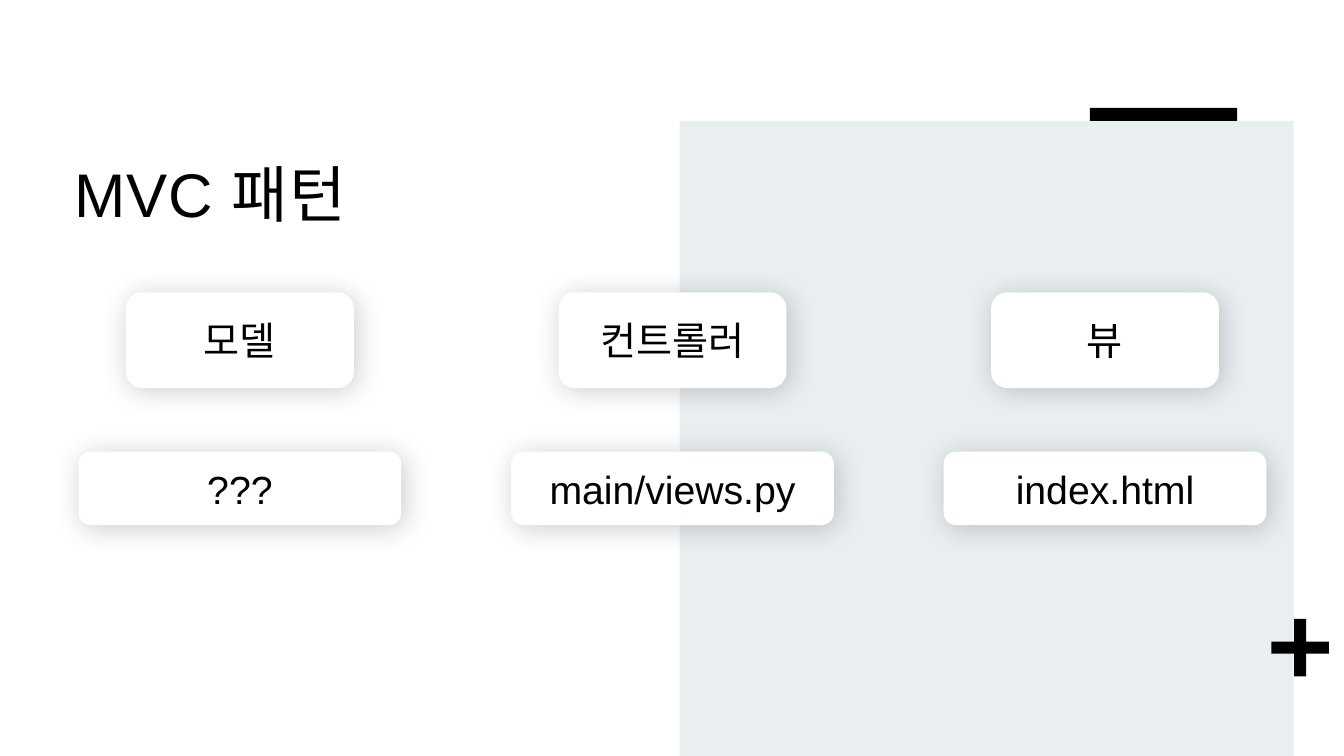
"""Build the MVC pattern slide."""
from lxml import etree
from pptx import Presentation
from pptx.dml.color import RGBColor
from pptx.enum.shapes import MSO_SHAPE as SHAPE
from pptx.enum.text import MSO_ANCHOR as ANCHOR, MSO_AUTO_SIZE as AUTO, PP_ALIGN as ALIGN
from pptx.oxml import parse_xml
from pptx.util import Pt

PX = 9144
BLACK = RGBColor(0, 0, 0)
WHITE = RGBColor(255, 255, 255)
PALE = RGBColor(0xE9, 0xEF, 0xF1)
NS = "http://schemas.openxmlformats.org/drawingml/2006/main"
SHADOW = (
    f'<a:effectLst xmlns:a="{NS}"><a:outerShdw blurRad="{Pt(20)}" dist="{Pt(3)}" '
    'dir="2700000" algn="tl" rotWithShape="0"><a:srgbClr val="000000">'
    '<a:alpha val="20000"/></a:srgbClr></a:outerShdw></a:effectLst>'
)
COLUMNS = [("모델", "???"), ("컨트롤러", "main/views.py"), ("뷰", "index.html")]
FIRST_CENTER, COLUMN_STEP = 238, 429


def add_block(s, kind, x, y, w, h, color):
    """Add a filled shape without outline or shadow."""
    sp = s.shapes.add_shape(kind, x * PX, y * PX, w * PX, h * PX)
    sp.fill.solid()
    sp.fill.fore_color.rgb = color
    sp.line.fill.background()
    sp.shadow.inherit = False
    return sp


def style_text(p, font, size):
    """Format the runs of a paragraph."""
    for r in p.runs:
        r.font.name = font
        r.font.size = Pt(size)
        r.font.color.rgb = BLACK


def add_card(s, center, y, w, h, text, font):
    """Add a white rounded card with a soft shadow and centred text."""
    sp = add_block(s, SHAPE.ROUNDED_RECTANGLE, center - w // 2, y, w, h, WHITE)
    effects = sp.element.spPr.find(f"{{{NS}}}effectLst")
    sp.element.spPr.replace(effects, parse_xml(SHADOW))
    tf = sp.text_frame
    tf.text = text
    tf.vertical_anchor = ANCHOR.MIDDLE
    p = tf.paragraphs[0]
    p.alignment = ALIGN.CENTER
    style_text(p, font, 28)


def set_title(s, text):
    """Place and format the title in front of the decoration."""
    sp = s.shapes.title
    sp.left, sp.top, sp.width, sp.height = 62 * PX, 132 * PX, 904 * PX, 158 * PX
    sp.element.getparent().append(sp.element)
    tf = sp.text_frame
    tf.text = text
    tf.word_wrap = True
    tf.auto_size = AUTO.NONE
    tf.vertical_anchor = ANCHOR.TOP
    tf.margin_left = tf.margin_top = tf.margin_right = 12 * PX
    tf.margin_bottom = 10 * PX
    p = tf.paragraphs[0]
    p.alignment = ALIGN.LEFT
    p.line_spacing = 1.14
    style_text(p, "Arial", 44)
    for r in p.runs:
        r.font.element.set("spc", "50") if hasattr(r.font, "element") else r.font._rPr.set("spc", "50")


def add_decoration(s):
    """Add the pale panel, the plus sign and the black bar."""
    add_block(s, SHAPE.RECTANGLE, 674, 120, 609, 630, PALE)
    plus = add_block(s, SHAPE.CROSS, 1261, 614, 57, 57, BLACK)
    plus.adjustments[0] = 0.395
    add_block(s, SHAPE.RECTANGLE, 1081, 107, 146, 13, BLACK)


def main():
    """Build and save the slide."""
    prs = Presentation()
    prs.slide_width, prs.slide_height = 1333 * PX, 750 * PX
    s = prs.slides.add_slide(prs.slide_layouts[5])
    add_decoration(s)
    set_title(s, "MVC 패턴")
    for i, (role, file_name) in enumerate(COLUMNS):
        center = FIRST_CENTER + i * COLUMN_STEP
        add_card(s, center, 290, 226, 95, role, "Roboto")
        add_card(s, center, 448, 320, 73, file_name, "Arial")
    prs.save("out.pptx")


if __name__ == "__main__":
    main()
